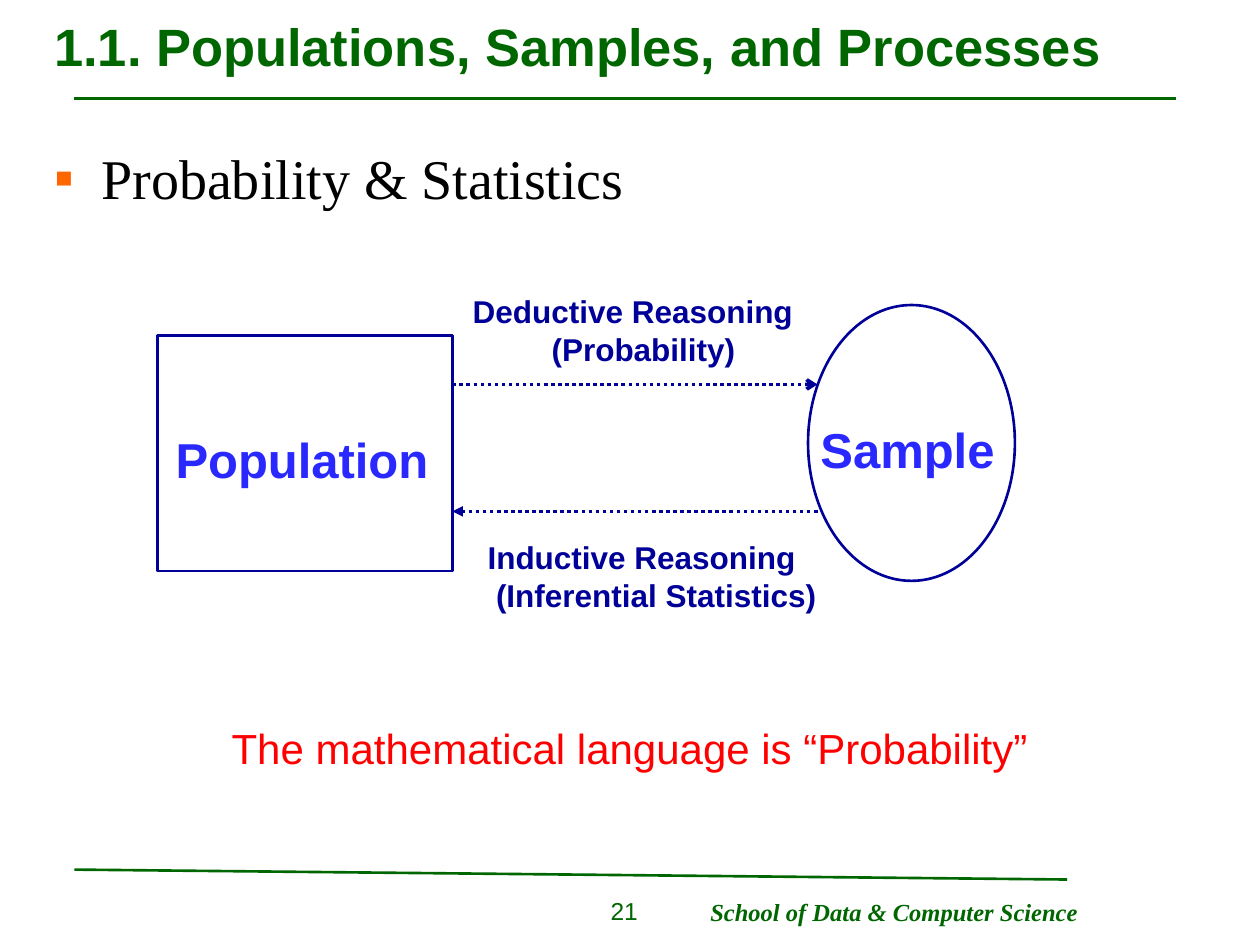
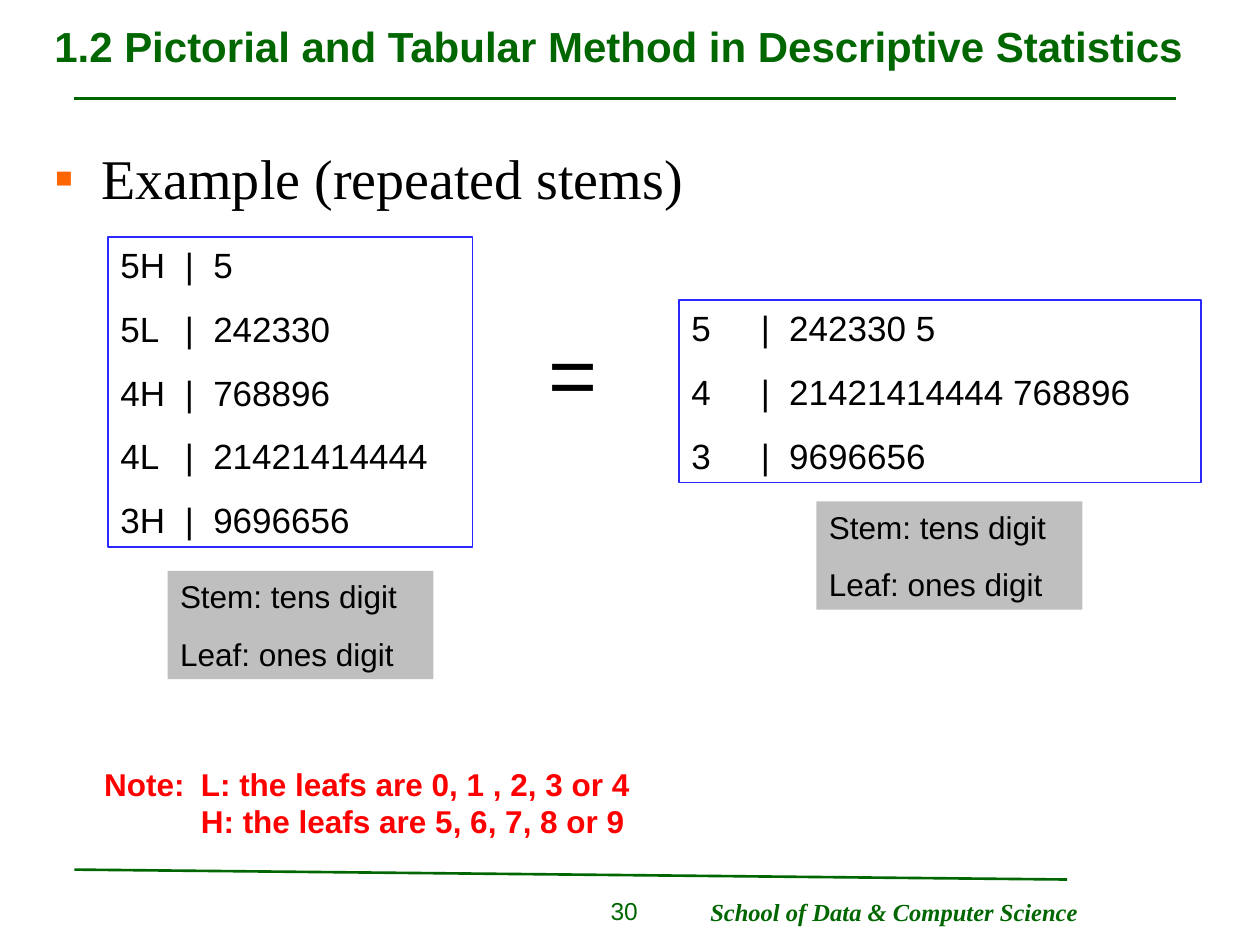
from dataclasses import dataclass

from lxml.etree import SubElement
from pptx import Presentation
from pptx.dml.color import RGBColor
from pptx.enum.dml import MSO_LINE
from pptx.enum.shapes import MSO_CONNECTOR, MSO_SHAPE
from pptx.enum.text import MSO_ANCHOR, PP_ALIGN
from pptx.oxml.ns import qn
from pptx.util import Cm, Pt

GREEN = RGBColor(0x00, 0x66, 0x00)
ORANGE = RGBColor(0xFF, 0x66, 0x00)
NAVY = RGBColor(0x00, 0x00, 0x99)
BLUE = RGBColor(0x29, 0x29, 0xFF)
RED = RGBColor(0xFF, 0x00, 0x00)
GRAY = RGBColor(0xBF, 0xBF, 0xBF)
BLACK = RGBColor(0x00, 0x00, 0x00)
SANS = "Arial"
SERIF = "Times New Roman"
LEGEND = "Stem: tens digit\nLeaf: ones digit"


@dataclass
class Box:
    """A rectangle in centimetres."""
    left: float
    top: float
    width: float
    height: float

    def inside(self, left, top, width, height):
        """Return a box whose offset is measured from this one."""
        return Box(self.left + left, self.top + top, width, height)

    def lengths(self):
        """Return the four measures as slide lengths."""
        return [Cm(value) for value in (self.left, self.top, self.width, self.height)]


SLIDE = Box(0, 0, 25.4, 19.05)
TITLE = Box(0.84, 0.06, 23.72, 1.73)
BODY = Box(0.84, 2.77, 23.72, 14.68)


def write_text(shape, text, size=18, color=BLACK, font=SANS, bold=False, italic=False,
               align=PP_ALIGN.LEFT, anchor=MSO_ANCHOR.TOP, wrap=True, gap=0,
               indents=(), tabs=(), bullet=None):
    """Fill a shape with one formatted paragraph per line of text."""
    frame = shape.text_frame
    frame.word_wrap = wrap
    frame.vertical_anchor = anchor
    for index, line in enumerate(text.split("\n")):
        paragraph = frame.add_paragraph() if index else frame.paragraphs[0]
        paragraph.alignment = align
        paragraph.space_before = Pt(gap if index else 0)
        properties = paragraph._p.get_or_add_pPr()
        if indents:
            properties.set("marL", str(Cm(indents[index])))
        if bullet:
            properties.set("indent", str(-Cm(indents[index])))
            bullet_color = SubElement(properties, qn("a:buClr"))
            SubElement(bullet_color, qn("a:srgbClr"), val=str(ORANGE))
            SubElement(properties, qn("a:buChar"), char=bullet)
        if tabs:
            tab_list = SubElement(properties, qn("a:tabLst"))
            for position in tabs:
                SubElement(tab_list, qn("a:tab"), pos=str(Cm(position)), algn="l")
        run = paragraph.add_run()
        run.text = line
        run.font.name = font
        run.font.size = Pt(size)
        run.font.bold = bold
        run.font.italic = italic
        run.font.color.rgb = color


def add_label(slide, box, text, **text_format):
    """Add a text box."""
    write_text(slide.shapes.add_textbox(*box.lengths()), text, **text_format)


def add_outline(slide, kind, box, fill=None, line=None, width=1.5):
    """Add a preset shape with an optional fill and line."""
    shape = slide.shapes.add_shape(kind, *box.lengths())
    shape.shadow.inherit = False
    if fill is None:
        shape.fill.background()
    else:
        shape.fill.solid()
        shape.fill.fore_color.rgb = fill
    if line is None:
        shape.line.fill.background()
    else:
        shape.line.color.rgb = line
        shape.line.width = Pt(width)
    return shape


def add_line(slide, box, color, width, dash=None, arrow=None):
    """Draw a line from the box's first corner to its opposite corner."""
    connector = slide.shapes.add_connector(
        MSO_CONNECTOR.STRAIGHT, Cm(box.left), Cm(box.top),
        Cm(box.left + box.width), Cm(box.top + box.height))
    connector.line.color.rgb = color
    connector.line.width = Pt(width)
    if dash:
        connector.line.dash_style = dash
    if arrow:
        SubElement(connector.line._get_or_add_ln(), qn("a:tailEnd"), type=arrow)
    SubElement(connector._element.spPr, qn("a:effectLst"))


def place(shape, box):
    """Move a placeholder into a box."""
    shape.left, shape.top, shape.width, shape.height = box.lengths()


def add_footer(slide, box, number):
    """Add the footer rule, the slide number and the school's name."""
    add_line(slide, box.inside(1.5, 0, 20.01, 0.2), GREEN, 1.5)
    add_label(slide, box.inside(10.52, 0.4, 2.59, 0.91), str(number),
              size=14, color=GREEN, align=PP_ALIGN.RIGHT)
    add_label(slide, box.inside(14.07, 0.43, 8.1, 0.86), "School of Data & Computer Science",
              size=14, color=GREEN, font=SERIF, bold=True, italic=True)


def add_base_slide(presentation, title, title_size, topic, number):
    """Add a slide with title, rules, topic bullet and footer."""
    slide = presentation.slides.add_slide(presentation.slide_layouts[1])
    heading, body = slide.placeholders
    place(heading, TITLE)
    write_text(heading, title, size=title_size, color=GREEN, bold=True, anchor=MSO_ANCHOR.MIDDLE)
    place(body, BODY)
    write_text(body, topic, size=32, font=SERIF, indents=(0.95,), bullet="▪")
    add_line(slide, SLIDE.inside(1.5, 1.98, 22.2, 0), GREEN, 1.5)
    add_footer(slide, SLIDE.inside(0, 17.53, 25.4, 1.52), number)
    return slide


def add_reasoning_diagram(slide, box):
    """Draw population and sample joined by the two kinds of reasoning."""
    add_outline(slide, MSO_SHAPE.RECTANGLE, box.inside(0, 0.99, 5.94, 4.75), line=NAVY)
    add_outline(slide, MSO_SHAPE.OVAL, box.inside(13.11, 0.38, 4.17, 5.56), line=NAVY)
    for name, area in (("Population", box.inside(0.11, 2.77, 5.8, 1.45)),
                       ("Sample", box.inside(13.11, 2.56, 4.15, 1.45))):
        add_label(slide, area, name, size=28, color=BLUE, bold=True)
    for area, arrow in ((box.inside(5.94, 1.98, 7.36, 0), "arrow"),
                        (box.inside(13.3, 4.54, -7.36, 0), "triangle")):
        add_line(slide, area, NAVY, 2, MSO_LINE.ROUND_DOT, arrow)
    for text, area, indent in (
            ("Deductive Reasoning\n(Probability)", box.inside(6.1, 0, 7.2, 1.78), 1.59),
            ("Inductive Reasoning\n(Inferential Statistics)", box.inside(6.4, 4.95, 7.4, 1.78), 0.17)):
        add_label(slide, area, text, color=NAVY, bold=True, indents=(0, indent))


def add_stem_panel(slide, box, rows, tabs, legend_left, legend_gap):
    """Add a stem-and-leaf display with its legend below."""
    display = add_outline(slide, MSO_SHAPE.RECTANGLE, box, line=BLUE, width=0.75)
    text = "\n".join(f"{stem}\t|\t{leaves}" for stem, leaves in rows)
    write_text(display, text, size=20, gap=12.5, tabs=tabs)
    legend_box = box.inside(legend_left, box.height + legend_gap, 5.36, 2.18)
    legend = add_outline(slide, MSO_SHAPE.RECTANGLE, legend_box, fill=GRAY)
    write_text(legend, LEGEND, gap=11.2)


def build_reasoning_slide(presentation):
    """Build the slide on probability and statistics."""
    slide = add_base_slide(presentation, "1.1. Populations, Samples, and Processes", 30,
                           "Probability & Statistics", 21)
    add_reasoning_diagram(slide, SLIDE.inside(3.18, 5.77, 17.27, 6.73))
    add_label(slide, SLIDE.inside(4.42, 14.45, 16.9, 1.27),
              "The mathematical language is “Probability”", size=24, color=RED)


def build_stems_slide(presentation):
    """Build the slide comparing repeated and plain stems."""
    slide = add_base_slide(presentation,
                           "1.2 Pictorial and Tabular Method in Descriptive Statistics", 24,
                           "Example (repeated stems)", 30)
    repeated = [("5H", "5"), ("5L", "242330"), ("4H", "768896"),
                ("4L", "21421414444"), ("3H", "9696656")]
    plain = [("5", "242330 5"), ("4", "21421414444 768896"), ("3", "9696656")]
    add_stem_panel(slide, SLIDE.inside(2.18, 4.78, 7.34, 6.25), repeated, (1.3, 1.87), 1.2, 0.48)
    add_label(slide, SLIDE.inside(10.8, 6.35, 1.5, 2.29), "=", size=48, wrap=False)
    add_stem_panel(slide, SLIDE.inside(13.69, 6.05, 10.52, 3.68), plain, (1.4, 1.97), 2.77, 0.38)
    add_label(slide, SLIDE.inside(1.85, 15.29, 11.48, 1.78),
              "Note:\tL: the leafs are 0, 1 , 2, 3 or 4\n\tH: the leafs are 5, 6, 7, 8 or 9",
              color=RED, bold=True, tabs=(1.95,))


def main():
    """Build and save the presentation."""
    presentation = Presentation()
    presentation.slide_width = Cm(SLIDE.width)
    presentation.slide_height = Cm(SLIDE.height)
    build_reasoning_slide(presentation)
    build_stems_slide(presentation)
    presentation.save("out.pptx")


if __name__ == "__main__":
    main()
